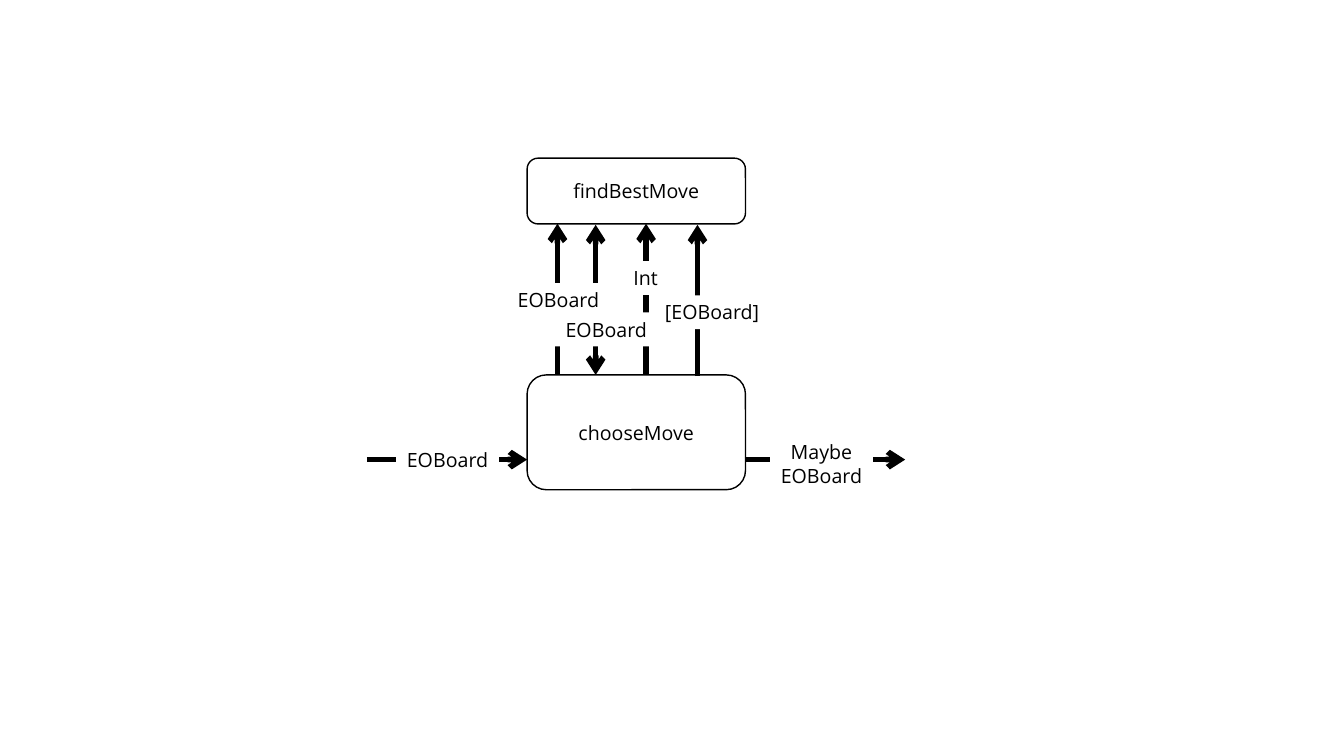
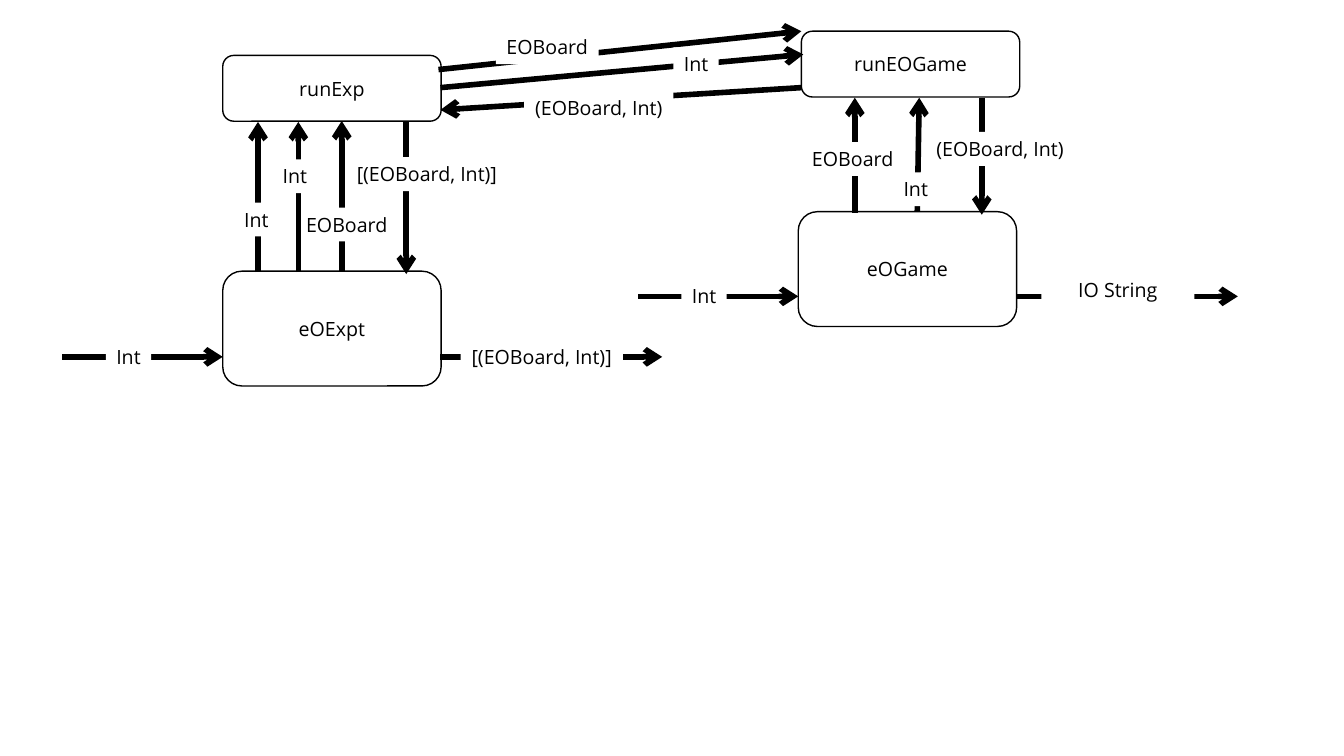
from pptx import Presentation
from pptx import util as u
from pptx.dml.color import RGBColor
from pptx.enum import shapes, text
from pptx.oxml.ns import qn
from lxml import etree

BLACK = RGBColor(0, 0, 0)
WHITE = RGBColor(255, 255, 255)
FONT, FONT_SIZE = "Open Sans", 14
NODE_WIDTH, CALLER_HEIGHT, HELPER_HEIGHT = 156, 82, 47
LINE_HEIGHT = 24.2
LABEL_WIDTHS = {
    "Int": 32.4,
    "EOBoard": 73.4,
    "[EOBoard]": 82.8,
    "(EOBoard, Int)": 106.6,
    "[(EOBoard, Int)]": 116,
    "IO String": 109.4,
    "Maybe EOBoard": 73.4,
}


class Diagram:
    """Draws function boxes, arrows and type labels on the current slide."""

    def __init__(self, prs):
        self.prs = prs
        self.s = None

    def new_slide(self):
        self.s = self.prs.slides.add_slide(self.prs.slide_layouts[6])

    def set_text(self, sp, content):
        sp.fill.solid()
        sp.fill.fore_color.rgb = WHITE
        tf = sp.text_frame
        tf.text = content
        p = tf.paragraphs[0]
        p.alignment = text.PP_ALIGN.CENTER
        p.font.name = FONT
        p.font.size = u.Pt(FONT_SIZE)
        p.font.color.rgb = BLACK
        return tf

    def node(self, name, x, y, height):
        sp = self.s.shapes.add_shape(
            shapes.MSO_SHAPE.ROUNDED_RECTANGLE,
            u.Pt(x), u.Pt(y), u.Pt(NODE_WIDTH), u.Pt(height))
        sp.shadow.inherit = False
        sp.line.color.rgb = BLACK
        sp.line.width = u.Pt(1)
        tf = self.set_text(sp, name)
        tf.vertical_anchor = text.MSO_ANCHOR.MIDDLE

    def arrow(self, x1, y1, x2, y2, ends=("tailEnd",)):
        c = self.s.shapes.add_connector(
            shapes.MSO_CONNECTOR.STRAIGHT, u.Pt(x1), u.Pt(y1), u.Pt(x2), u.Pt(y2))
        c.line.color.rgb = BLACK
        c.line.width = u.Pt(4)
        ln = c._element.spPr.find(qn("a:ln"))
        for end in ends:
            etree.SubElement(ln, qn(f"a:{end}"), type="arrow")
        etree.SubElement(c._element.spPr, qn("a:effectLst"))

    def label(self, content, x, y, lines=1):
        sp = self.s.shapes.add_textbox(
            u.Pt(x), u.Pt(y), u.Pt(LABEL_WIDTHS[content]),
            u.Pt(LINE_HEIGHT + (lines - 1) * 17))
        tf = self.set_text(sp, content)
        tf.word_wrap = lines > 1
        tf.auto_size = text.MSO_AUTO_SIZE.SHAPE_TO_FIT_TEXT

    def arrows(self, *rows):
        for row in rows:
            self.arrow(*row)

    def labels(self, *rows):
        for row in rows:
            self.label(*row)


prs = Presentation()
prs.slide_width, prs.slide_height = u.Pt(960), u.Pt(540)
d = Diagram(prs)

d.new_slide()
d.node("chooseMove", 376.5, 267.8, CALLER_HEIGHT)
d.node("findBestMove", 376.5, 113, HELPER_HEIGHT)
d.arrows(
    (398.2, 267.8, 398.2, 159.8),
    (461.5, 267.1, 461.5, 159.8),
    (425.5, 160.6, 425.5, 267.8, ("headEnd", "tailEnd")),
    (498.2, 268.6, 498.2, 160.6),
    (262.1, 328.3, 376.5, 328.3),
    (532.1, 328.3, 646.6, 328.3),
)
d.labels(
    ("EOBoard", 362.2, 202.3),
    ("EOBoard", 396.4, 223.2),
    ("Int", 445, 186.5),
    ("[EOBoard]", 467.3, 211),
    ("EOBoard", 283, 316.1),
    ("Maybe EOBoard", 550.1, 311, 2),
)

d.new_slide()
d.node("eOGame", 570.2, 151.2, CALLER_HEIGHT)
d.node("runEOGame", 572.4, 22.3, HELPER_HEIGHT)
d.arrows(
    (610.6, 151.9, 610.6, 69.8),
    (655.2, 151.2, 656.6, 69.8),
    (701.3, 69.8, 701.3, 153.4),
    (455.8, 211.7, 570.2, 211.7),
    (725.8, 211.7, 884.2, 211.7),
)
d.labels(
    ("EOBoard", 572.4, 101.5),
    ("Int", 637.9, 123.1),
    ("(EOBoard, Int)", 661, 94.3),
    ("Int", 486.7, 199.4),
    ("IO String", 743.8, 195.1),
)

d.arrow(244.1, 193.7, 244.1, 86.4)
d.label("EOBoard", 211, 148.3)
d.node("eOExpt", 159.1, 193.7, CALLER_HEIGHT)
d.node("runExp", 159.1, 39.6, HELPER_HEIGHT)
d.arrows(
    (184.3, 194.4, 184.3, 87.1),
    (213.1, 194.4, 213.1, 87.1),
    (290.2, 87.1, 290.2, 195.8),
    (44.6, 254.9, 159.1, 254.9),
    (314.6, 254.9, 473, 254.9),
    (313.2, 49.7, 572.4, 22.3),
    (314.6, 62.6, 573.8, 38.9),
    (572.4, 62.6, 314.6, 78.5),
)
d.labels(
    ("Int", 167, 144.7),
    ("Int", 194.4, 113.8),
    ("[(EOBoard, Int)]", 247, 112.3),
    ("Int", 75.6, 242.6),
    ("[(EOBoard, Int)]", 329, 242.6),
    ("EOBoard", 354.2, 21.6),
    ("Int", 481, 33.8),
    ("(EOBoard, Int)", 374.4, 64.8),
)

prs.save("out.pptx")
